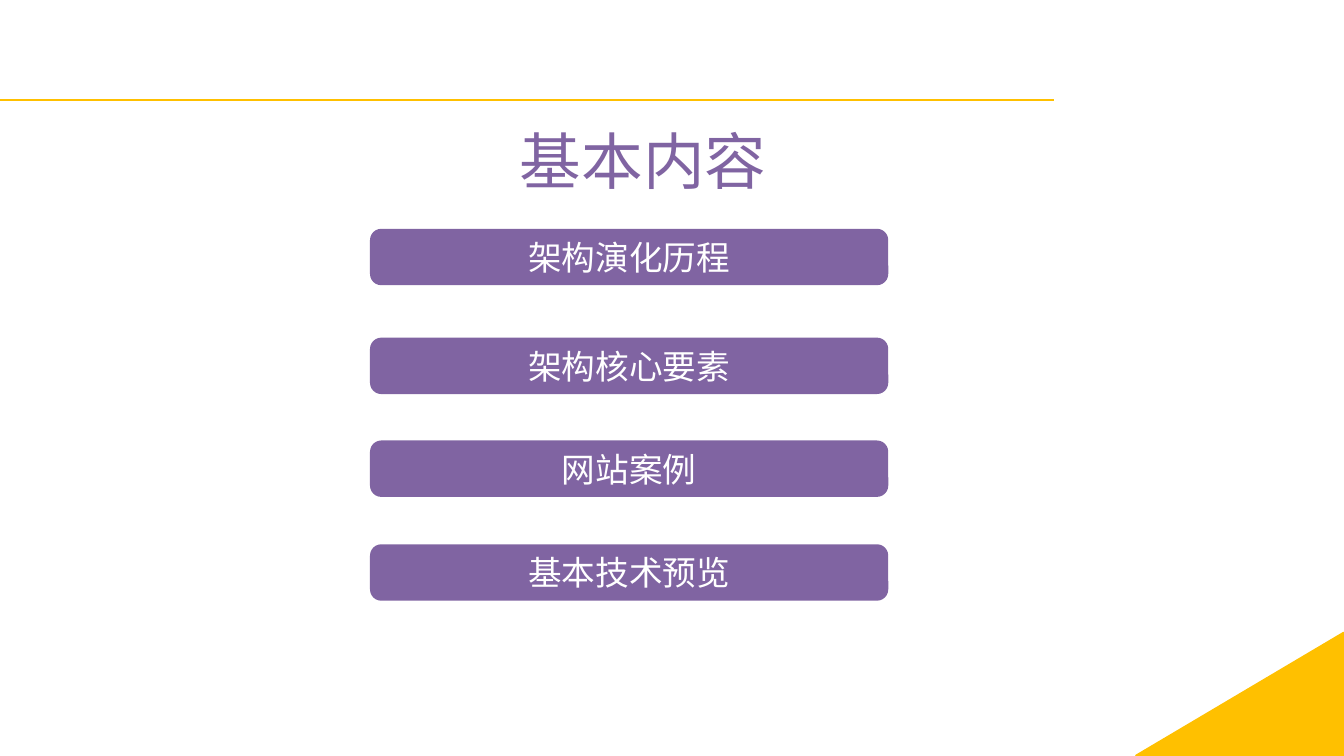
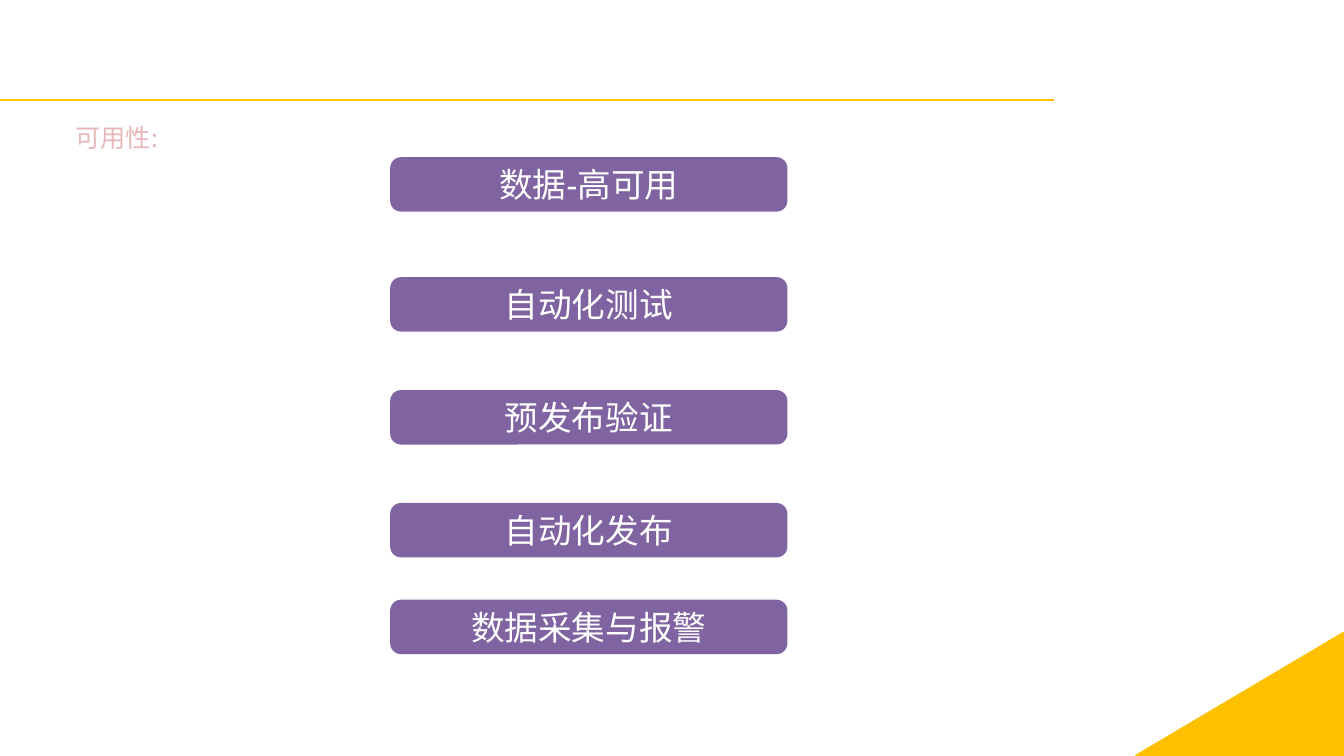
import pptx
import pptx.util
import pptx.dml.color
import pptx.enum.shapes
import pptx.enum.text
import pptx.oxml
import pptx.oxml.ns
from dataclasses import dataclass
from pptx.util import Inches

Color = pptx.dml.color.RGBColor.from_string
Shape = pptx.enum.shapes.MSO_SHAPE
Align = pptx.enum.text.PP_ALIGN


@dataclass(frozen=True)
class Theme:
    gold: str = "FFC000"
    purple: str = "8064A2"
    pink: str = "E6B9B8"
    white: str = "FFFFFF"
    title_font: str = "Calibri"
    bar_font: str = "Arial"
    chinese_font: str = "Noto Sans CJK SC"
    title_size: int = 44
    bar_size: int = 24
    label_size: int = 18


theme = Theme()


def write(shape, text, size, font, color, align):
    """Put one line of text into a shape, with its Latin and Chinese fonts."""
    frame = shape.text_frame
    frame.text = text
    para = frame.paragraphs[0]
    para.alignment = align
    span = para.runs[0]
    span.font.size = pptx.util.Pt(size)
    span.font.name = font
    span.font.color.rgb = Color(color)
    chinese = pptx.oxml.parse_xml(
        f'<a:ea {pptx.oxml.ns.nsdecls("a")} typeface="{theme.chinese_font}"/>')
    span.font._element.find(pptx.oxml.ns.qn("a:latin")).addnext(chinese)


def add_bars(page, left, width, height, bars):
    """Add a column of rounded bars, given as (top, text) pairs."""
    for top, text in bars:
        bar = page.shapes.add_shape(Shape.ROUNDED_RECTANGLE, Inches(left), Inches(top),
                                    Inches(width), Inches(height))
        bar.adjustments[0] = 0.2
        bar.shadow.inherit = False
        bar.fill.solid()
        bar.fill.fore_color.rgb = Color(theme.purple)
        bar.line.fill.background()
        frame = bar.text_frame
        frame.margin_left = frame.margin_right = frame.margin_top = frame.margin_bottom = 0
        frame.vertical_anchor = pptx.enum.text.MSO_ANCHOR.MIDDLE
        write(bar, text, theme.bar_size, theme.bar_font, theme.white, Align.CENTER)


deck = pptx.Presentation()
deck.slide_width, deck.slide_height = Inches(13.33), Inches(7.5)
blank = deck.slide_layouts[6]
for holder in list(blank.placeholders):
    holder.element.getparent().remove(holder.element)

contents = deck.slides.add_slide(blank)
availability = deck.slides.add_slide(blank)

# Shared decoration: gold rule and corner triangle, moved into the layout
rule = contents.shapes.add_connector(pptx.enum.shapes.MSO_CONNECTOR.STRAIGHT,
                                     0, Inches(0.99), Inches(10.45), Inches(0.99))
rule.line.width = pptx.util.Pt(1.5)
rule.element.spPr.append(
    pptx.oxml.parse_xml(f'<a:effectLst {pptx.oxml.ns.nsdecls("a")}/>'))

corner = contents.shapes.add_shape(Shape.RIGHT_TRIANGLE, Inches(11.69), Inches(5.86),
                                   Inches(1.22), Inches(2.06))
corner.rotation = 270
corner.shadow.inherit = False
corner.fill.solid()
corner.fill.fore_color.rgb = Color(theme.gold)
corner.line.width = pptx.util.Pt(2)

for decoration in (rule, corner):
    decoration.line.color.rgb = Color(theme.gold)
    blank.shapes.element.append(decoration.element)

# Slide 1: contents
title = contents.shapes.add_textbox(Inches(4.98), Inches(1.17), Inches(2.8), Inches(0.83))
title.text_frame.word_wrap = True
write(title, "基本内容", theme.title_size, theme.title_font, theme.purple, Align.CENTER)
add_bars(contents, 3.67, 5.14, 0.56, [
    (2.27, "架构演化历程"),
    (3.35, "架构核心要素"),
    (4.37, "网站案例"),
    (5.4, "基本技术预览"),
])

# Slide 2: availability
label = availability.shapes.add_textbox(Inches(0.65), Inches(1.16), Inches(1.07), Inches(0.4))
label.text_frame.word_wrap = False
write(label, "可用性:", theme.label_size, theme.chinese_font, theme.pink, Align.LEFT)
add_bars(availability, 3.87, 3.94, 0.54, [
    (1.56, "数据-高可用"),
    (2.75, "自动化测试"),
    (3.87, "预发布验证"),
    (4.99, "自动化发布"),
    (5.95, "数据采集与报警"),
])

deck.save("out.pptx")
